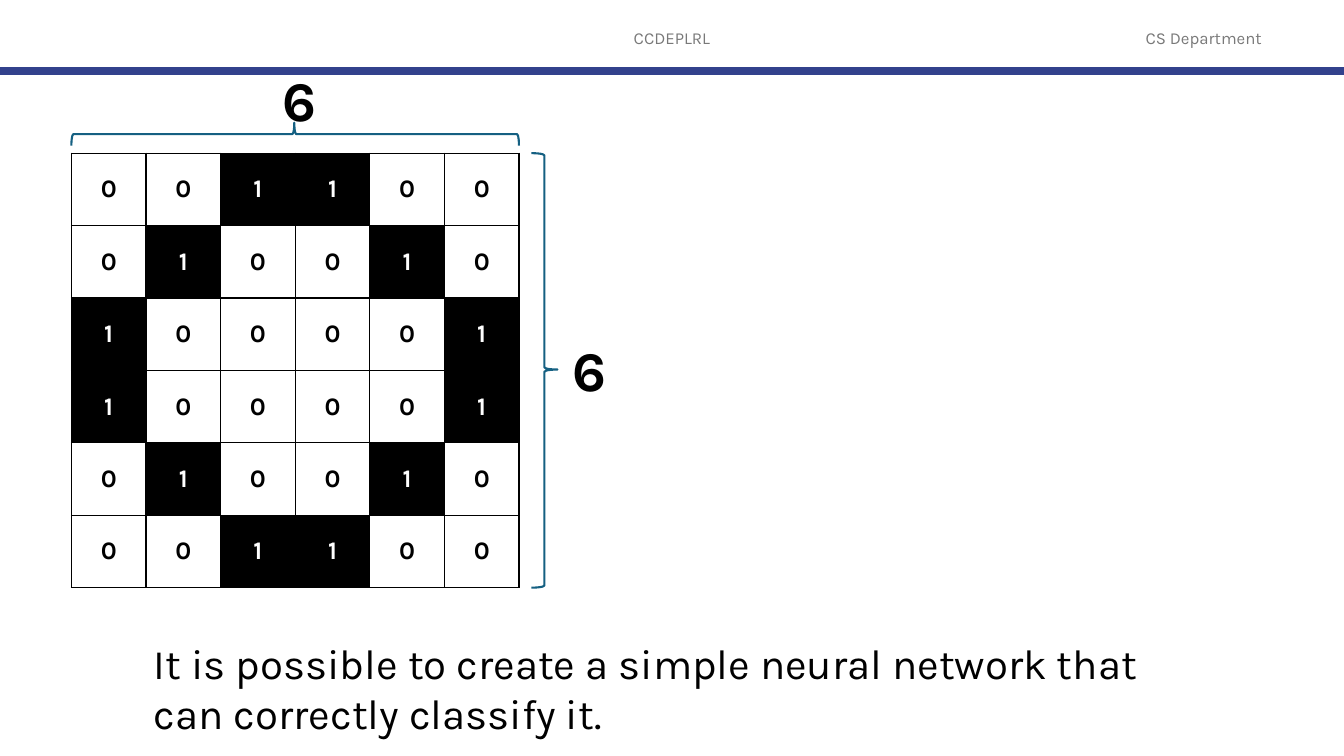
from dataclasses import dataclass

from lxml import etree
from pptx import Presentation
from pptx import util as u
from pptx.dml.color import RGBColor
from pptx.enum import shapes, text
from pptx.oxml import ns
from pptx.util import Cm


@dataclass(frozen=True)
class Theme:
    font: str = "Karla"
    ink: str = "000000"
    paper: str = "FFFFFF"
    header: str = "797979"
    rule: str = "32418C"
    brace: str = "156082"
    header_size: int = 12
    cell_size: int = 18
    caption_size: int = 30
    count_size: int = 40


THEME = Theme()
PIXELS = ("001100", "010010", "100001", "100001", "010010", "001100")
GRID_LEFT, GRID_TOP = 1.8, 3.86
CELL_WIDTH, CELL_HEIGHT = 1.88, 1.825
GRID_WIDTH = CELL_WIDTH * len(PIXELS[0])
GRID_HEIGHT = CELL_HEIGHT * len(PIXELS)


def write(frame, words, size, color, bold=False, align=text.PP_ALIGN.LEFT):
    para = frame.paragraphs[0]
    para.alignment = align
    span = para.add_run()
    span.text = words
    formats = {"name": THEME.font, "size": u.Pt(size), "bold": bold}
    for name, value in formats.items():
        setattr(span.font, name, value)
    span.font.color.rgb = RGBColor.from_string(color)


def add_text(page, place, words, size, color=THEME.ink,
             anchor=text.MSO_ANCHOR.TOP, **style):
    box = page.shapes.add_textbox(*map(Cm, place))
    box.text_frame.word_wrap = True
    box.text_frame.vertical_anchor = anchor
    write(box.text_frame, words, size, color, **style)


def add_header(page, place, words):
    add_text(page, place, words, THEME.header_size, THEME.header,
             anchor=text.MSO_ANCHOR.MIDDLE, align=text.PP_ALIGN.CENTER)


def add_rule(page, top, width):
    rule = page.shapes.add_connector(
        shapes.MSO_CONNECTOR.STRAIGHT, 0, Cm(top), width, Cm(top))
    rule.line.color.rgb = RGBColor.from_string(THEME.rule)
    rule.line.width = u.Pt(6)
    etree.SubElement(rule._element.spPr, ns.qn("a:effectLst"))


def add_brace(page, center_x, center_y, depth, span, rotation=0):
    """Place a right brace by its centre, so that it can be turned there."""
    place = center_x - depth / 2, center_y - span / 2, depth, span
    brace = page.shapes.add_shape(
        shapes.MSO_SHAPE.RIGHT_BRACE, *map(Cm, place))
    brace.adjustments[0] = 0.083
    brace.adjustments[1] = 0.498
    brace.rotation = rotation
    brace.shadow.inherit = False
    brace.fill.background()
    brace.line.color.rgb = RGBColor.from_string(THEME.brace)
    brace.line.width = u.Pt(1.5)


def add_borders(cell):
    properties = cell._tc.get_or_add_tcPr()
    for index, side in enumerate(("lnL", "lnR", "lnT", "lnB")):
        border = etree.Element(ns.qn(f"a:{side}"), w=str(u.Pt(1)))
        fill = etree.SubElement(border, ns.qn("a:solidFill"))
        etree.SubElement(fill, ns.qn("a:srgbClr"), val=THEME.ink)
        properties.insert(index, border)


def add_pixel_grid(page):
    place = GRID_LEFT, GRID_TOP, GRID_WIDTH, GRID_HEIGHT
    table = page.shapes.add_table(
        len(PIXELS), len(PIXELS[0]), *map(Cm, place)).table
    table.first_row = table.horz_banding = False
    for column in table.columns:
        column.width = Cm(CELL_WIDTH)
    for row, bits in zip(table.rows, PIXELS):
        row.height = Cm(CELL_HEIGHT)
        for cell, bit in zip(row.cells, bits):
            back, front = THEME.paper, THEME.ink
            if bit == "1":
                back, front = front, back
            cell.fill.solid()
            cell.fill.fore_color.rgb = RGBColor.from_string(back)
            cell.vertical_anchor = text.MSO_ANCHOR.MIDDLE
            write(cell.text_frame, bit, THEME.cell_size, front, bold=True,
                  align=text.PP_ALIGN.CENTER)
            add_borders(cell)


def main():
    deck = Presentation()
    deck.slide_width, deck.slide_height = Cm(33.87), Cm(19.05)
    page = deck.slides.add_slide(deck.slide_layouts[6])

    add_header(page, (11.22, 0.44, 11.43, 1.01), "CCDEPLRL")
    add_header(page, (27.73, 0.44, 5.21, 1.01), "CS Department")
    add_rule(page, 1.79, deck.slide_width)

    add_text(page, (3.63, 15.93, 26.31, 2.82),
             "It is possible to create a simple neural network that "
             "can correctly classify it.", THEME.caption_size)
    add_pixel_grid(page)
    add_brace(page, 13.72, GRID_TOP + GRID_HEIGHT / 2, 0.66, GRID_HEIGHT)
    add_brace(page, GRID_LEFT + GRID_WIDTH / 2, 3.38, 0.58, GRID_WIDTH, 270)
    for left, top, count in ((14.18, 8.33, len(PIXELS)),
                             (6.86, 1.52, len(PIXELS[0]))):
        add_text(page, (left, top, 1.45, 1.96), str(count),
                 THEME.count_size, bold=True)

    deck.save("out.pptx")


if __name__ == "__main__":
    main()
